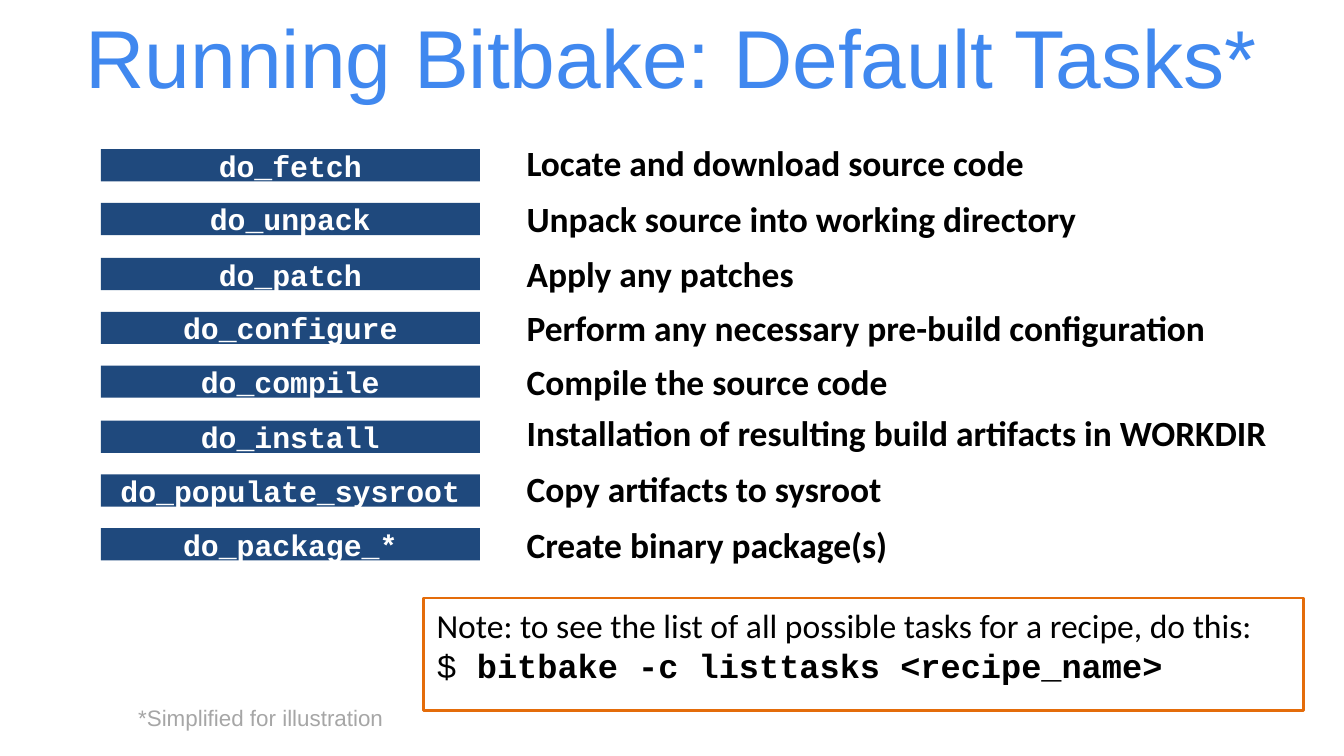
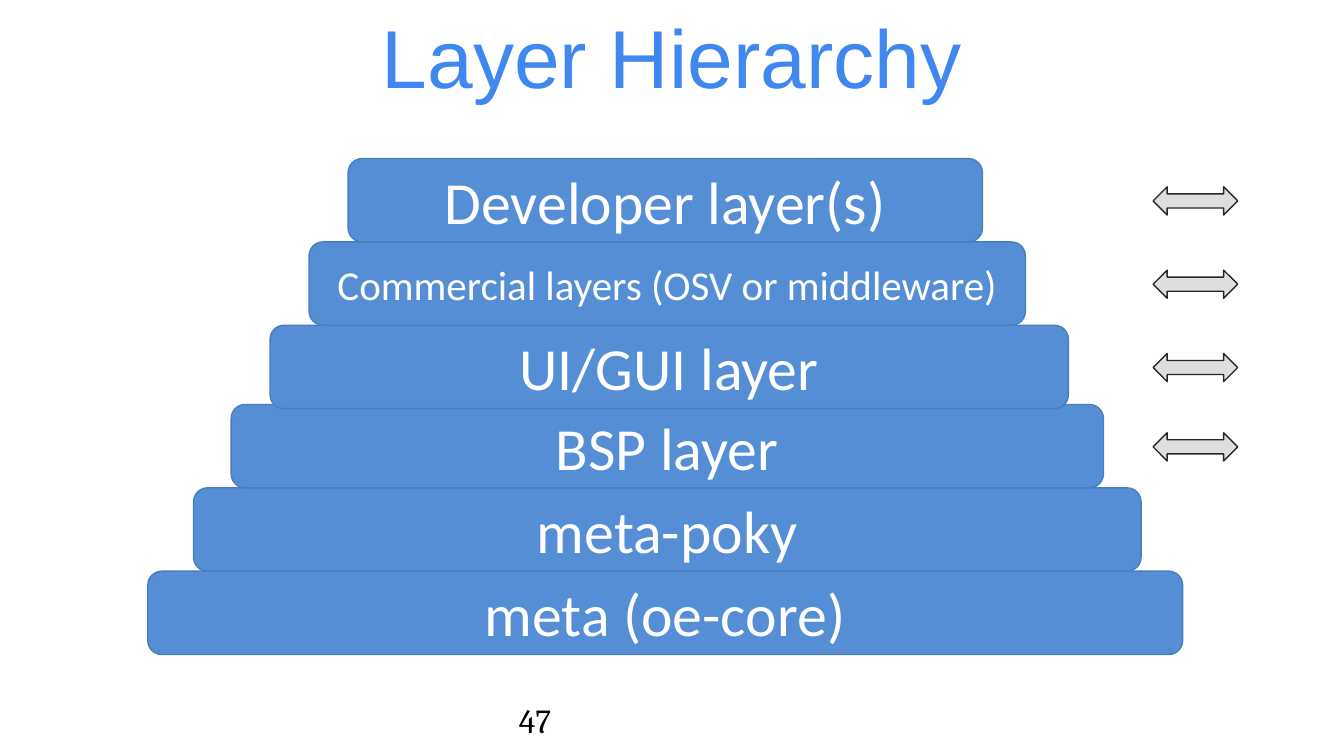
from pptx import Presentation
from pptx.dml.color import RGBColor
from pptx.enum.shapes import MSO_SHAPE as Preset
from pptx.enum.text import MSO_ANCHOR as Anchor, PP_ALIGN as Align
from pptx.util import Pt

EMU_PER_PX = 9144  # 100 px to the inch
TITLE_BLUE, BLACK, WHITE = "4088EF", "000000", "FFFFFF"
NAVY, ORANGE, GREY = "1F497D", "E46C0A", "A6A6A6"
LAYER_FILL, LAYER_LINE = "558ED5", "4A7EBB"
ARROW_FILL, ARROW_LINE = "DDDEDD", "272727"


def color(hex_string):
    return RGBColor.from_string(hex_string)


def add_box(slide, frame, text="", font="Calibri", size=18, ink=BLACK, bold=False,
            align=Align.LEFT, anchor=Anchor.TOP, preset=None, fill=None,
            line=None, line_width=0.75):
    """Add a preset shape, or a text box if no preset is given; return it."""
    frame = [length * EMU_PER_PX for length in frame]
    if preset is None:
        shape = slide.shapes.add_textbox(*frame)
    else:
        shape = slide.shapes.add_shape(preset, *frame)
        shape.shadow.inherit = False
    if fill:
        shape.fill.solid()
        shape.fill.fore_color.rgb = color(fill)
    else:
        shape.fill.background()
    if line:
        shape.line.color.rgb = color(line)
        shape.line.width = Pt(line_width)
    else:
        shape.line.fill.background()
    text_frame = shape.text_frame
    text_frame.word_wrap = True
    text_frame.vertical_anchor = anchor
    text_frame.text = text
    for paragraph in text_frame.paragraphs:
        paragraph.alignment = align
        paragraph.font.name = font
        paragraph.font.size = Pt(size)
        paragraph.font.bold = bold
        paragraph.font.color.rgb = color(ink)
    return shape


presentation = Presentation()
presentation.slide_width = 1000 * EMU_PER_PX
presentation.slide_height = presentation.slide_width * 9 // 16

slides = []
for title in ("Running Bitbake: Default Tasks*", "Layer Hierarchy"):
    slide = presentation.slides.add_slide(presentation.slide_layouts[6])
    add_box(slide, (50, 7, 900, 69), title, "Arial", 44, TITLE_BLUE,
            align=Align.CENTER, anchor=Anchor.MIDDLE)
    slides.append(slide)
tasks_slide, layers_slide = slides

# Default tasks: name, description, top of the description
tasks = [
    ("do_fetch", "Locate and download source code", 100),
    ("do_unpack", "Unpack source into working directory", 142),
    ("do_patch", "Apply any patches", 183),
    ("do_configure", "Perform any necessary pre-build configuration", 223),
    ("do_compile", "Compile the source code", 263),
    ("do_install", "Installation of resulting build artifacts in WORKDIR", 301),
    ("do_populate_sysroot", "Copy artifacts to sysroot", 343),
    ("do_package_*", "Create binary package(s)", 384),
]
for row, (task, description, description_top) in enumerate(tasks):
    add_box(tasks_slide, (75, 111 + round(row * 40.3), 282, 24), task,
            "Courier New", 16, WHITE, True, Align.CENTER, Anchor.MIDDLE,
            Preset.RECTANGLE, NAVY)
    add_box(tasks_slide, (382, description_top, 600, 40), description,
            size=19, bold=True)

add_box(tasks_slide, (93, 519, 203, 22), "*Simplified for illustration",
        "Arial", 12, GREY)
note = add_box(tasks_slide, (315, 445, 655, 84),
               "Note: to see the list of all possible tasks for a recipe, do this:",
               preset=Preset.RECTANGLE, line=ORANGE, line_width=1.5)
command = note.text_frame.add_paragraph()
command.alignment = Align.LEFT
command.font.name = "Courier New"
command.font.size = Pt(18)
command.font.color.rgb = color(BLACK)
for text, bold in (("$ ", False), ("bitbake -c listtasks <recipe_name>", True)):
    run = command.add_run()
    run.text = text
    run.font.bold = bold

# Layer hierarchy, from the bottom up: name, left, top, width, text size, has arrow
layers = [
    ("meta (oe-core)", 110, 425, 770, 32, False),
    ("meta-poky", 144, 363, 705, 32, False),
    ("BSP layer", 172, 301, 649, 32, True),
    ("UI/GUI layer", 201, 242, 594, 32, True),
    ("Commercial layers (OSV or middleware)", 230, 180, 533, 22, True),
    ("Developer layer(s)", 259, 118, 472, 32, True),
]
for name, left, top, width, size, has_arrow in layers:
    add_box(layers_slide, (left, top, width, 62), name, size=size, ink=WHITE,
            align=Align.CENTER, anchor=Anchor.MIDDLE,
            preset=Preset.ROUNDED_RECTANGLE, fill=LAYER_FILL, line=LAYER_LINE)
    if has_arrow:
        add_box(layers_slide, (858, top + 21, 63, 21), preset=Preset.LEFT_RIGHT_ARROW,
                fill=ARROW_FILL, line=ARROW_LINE)

page_number = add_box(layers_slide, (317, 521, 103, 30), "47", "Cambria",
                      align=Align.RIGHT, anchor=Anchor.BOTTOM)
page_number.text_frame.margin_bottom = 0

presentation.save("out.pptx")
